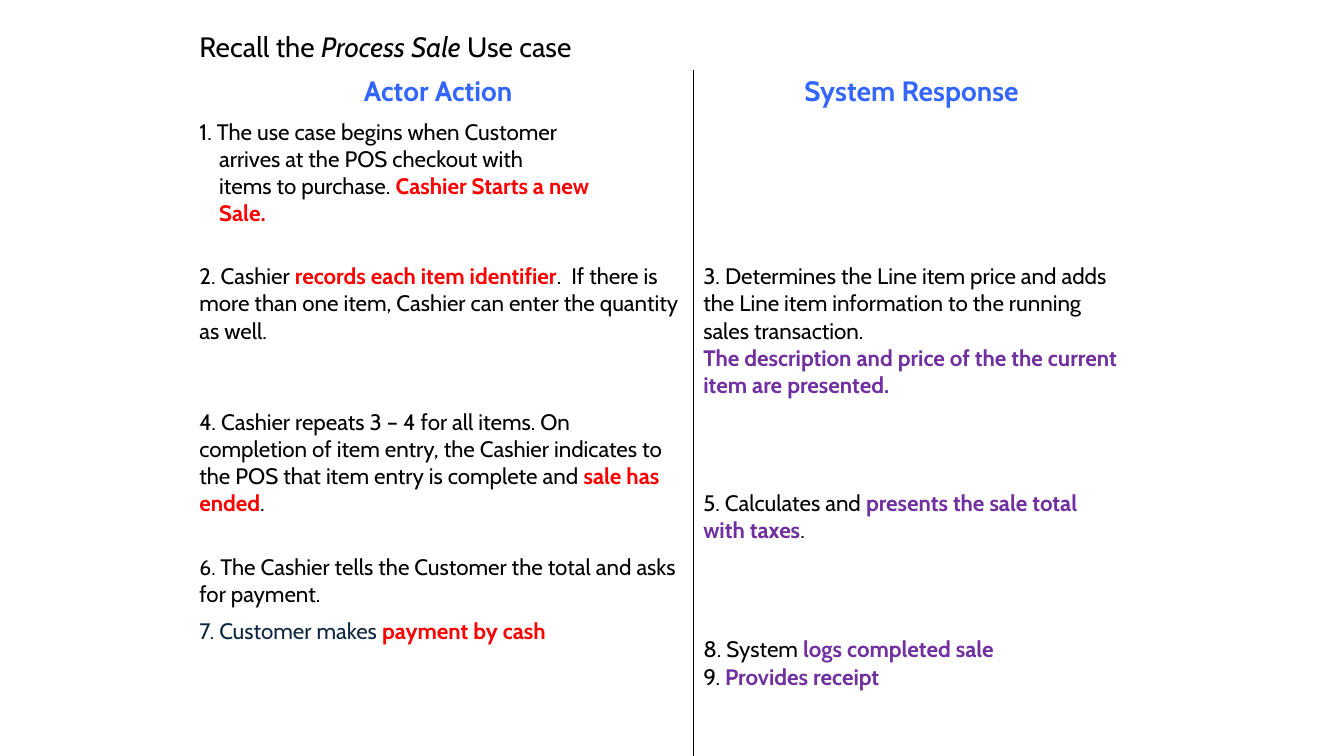
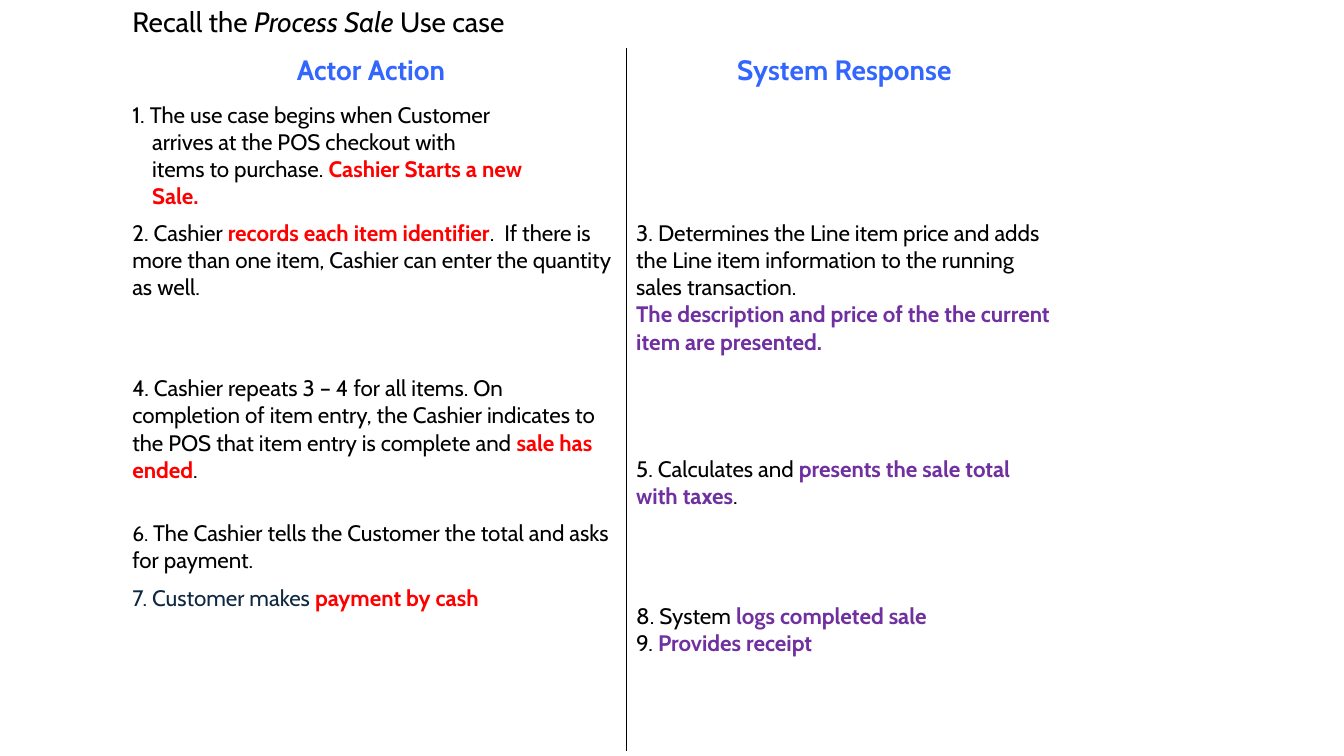
from pptx import Presentation
from pptx.dml.color import RGBColor
from pptx.enum.text import PP_ALIGN
from pptx.oxml.ns import qn
from pptx.util import Cm, Pt
from lxml import etree

CENTER = PP_ALIGN.CENTER

# Colours and type: style name -> size, colour, bold, italic
THEME = {
    "font": "Cabin",
    "rule_color": "000000",
    "rule_width": Pt(1),
    "styles": {
        "title": (20, "000000", False, False),
        "title_italic": (20, "000000", False, True),
        "heading": (20, "3366FF", True, False),
        "body": (16, "000000", False, False),
        "small": (15, "000000", False, False),
        "navy": (16, "0E2841", False, False),
        "actor": (16, "FF0000", True, False),
        "system": (16, "7030A0", True, False),
    },
}

# Table content: each cell is a list of paragraphs, each a list of (text, style)
TITLE = [[("Recall the ", "title"), ("Process Sale ", "title_italic"), ("Use case", "title")]]
ROWS = [
    (TITLE, []),
    ([[("Actor Action ", "heading")]], [[("System Response", "heading")]]),
    ([[("1. The use case begins when Customer", "body")],
      [("arrives at the POS checkout with", "body")],
      [("items to purchase. ", "body"), ("Cashier Starts a new", "actor")],
      [("Sale.", "actor")]], []),
    ([[("2. Cashier ", "body"), ("records each item identifier", "actor"),
       (".  If there is more than one item, Cashier can enter the quantity as well.", "body")]],
     [[("3. Determines the Line item price and adds the Line item information "
        "to the running sales transaction.", "body")],
      [("The description and price of the the current item are presented.", "system")]]),
    ([[("4. Cashier repeats 3 – 4 for all items. On completion of item entry, the Cashier "
        "indicates to the POS that item entry is complete and ", "body"),
       ("sale has ended", "actor"), (".", "body")]],
     [[("5. Calculates and ", "body"), ("presents the sale total with taxes", "system"),
       (".", "body")]]),
    ([[("6. ", "small"),
       ("The Cashier tells the Customer the total and asks for payment.", "body")]], []),
    ([[("7. Customer makes ", "navy"), ("payment by cash", "actor")]],
     [[("8. System ", "body"), ("logs completed sale", "system")],
      [("9. ", "body"), ("Provides receipt", "system")]]),
]
HEADING_ROW, FIRST_STEP_ROW = 1, 2
STEP_INDENT = Cm(0.5)
# Responses that start lower than the action beside them: row -> top margin
RESPONSE_TOP = {4: Cm(2.16), 6: Cm(0.59)}

# Table placement on each slide, in centimetres
COLUMN_WIDTHS = (12.7, 11)
LAYOUTS = [
    {"left": 4.77, "top": 0.64, "heights": (1.1, 1.1, 3.64, 3.64, 3.64, 1.62, 3.68)},
    {"left": 3.08, "top": 0, "heights": (1.22, 1.22, 2.98, 3.91, 3.63, 1.6, 4.32)},
]


def set_borders(cell, ruled_side):
    """Draw the rule on one side of a cell and clear its other borders."""
    properties = cell._tc.get_or_add_tcPr()
    for side in ("lnL", "lnR", "lnT", "lnB"):
        line = etree.SubElement(properties, qn("a:" + side))
        if side == ruled_side:
            line.set("w", str(THEME["rule_width"]))
            fill = etree.SubElement(line, qn("a:solidFill"))
            etree.SubElement(fill, qn("a:srgbClr"), val=THEME["rule_color"])
        else:
            etree.SubElement(line, qn("a:noFill"))


def write_paragraph(para, spans):
    for text, style in spans:
        size, color, bold, italic = THEME["styles"][style]
        span = para.add_run()
        span.text = text
        span.font.name = THEME["font"]
        span.font.size = Pt(size)
        span.font.bold = bold
        span.font.italic = italic
        span.font.color.rgb = RGBColor.from_string(color)


deck = Presentation()
deck.slide_width, deck.slide_height = Cm(33.87), Cm(19.05)

for layout in LAYOUTS:
    page = deck.slides.add_slide(deck.slide_layouts[6])

    # Table grid
    heights = layout["heights"]
    table = page.shapes.add_table(
        len(ROWS), len(COLUMN_WIDTHS), Cm(layout["left"]), Cm(layout["top"]),
        Cm(sum(COLUMN_WIDTHS)), Cm(sum(heights))).table
    table.first_row = table.horz_banding = False
    for column, width in zip(table.columns, COLUMN_WIDTHS):
        column.width = Cm(width)
    for row, height in zip(table.rows, heights):
        row.height = Cm(height)
    table.cell(0, 0).merge(table.cell(0, 1))

    # Cells
    for row_index, contents in enumerate(ROWS):
        for column_index, paragraphs in enumerate(contents):
            cell = table.cell(row_index, column_index)
            ruled_side = ("lnR", "lnL")[column_index] if row_index >= HEADING_ROW else None
            set_borders(cell, ruled_side)
            cell.fill.background()
            if column_index == 1 and row_index in RESPONSE_TOP:
                cell.margin_top = RESPONSE_TOP[row_index]

            frame = cell.text_frame
            for number, spans in enumerate(paragraphs):
                para = frame.add_paragraph() if number else frame.paragraphs[0]
                if row_index == HEADING_ROW:
                    para.alignment = CENTER
                if row_index == FIRST_STEP_ROW and number:
                    para._p.get_or_add_pPr().set("marL", str(STEP_INDENT))
                write_paragraph(para, spans)

deck.save("out.pptx")
